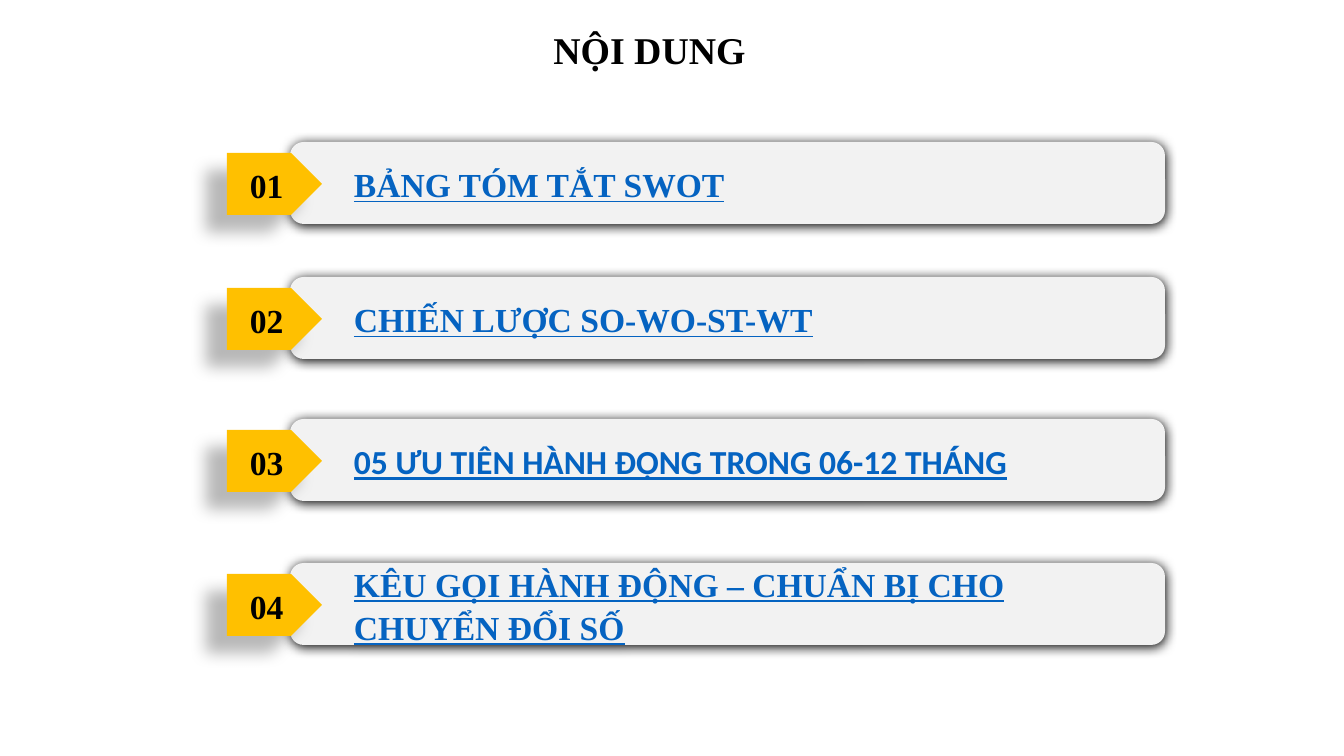
"""Builds the contents slide: a title above four numbered bars."""
from lxml.etree import SubElement
from pptx import Presentation
from pptx.dml.color import RGBColor
from pptx.enum.shapes import MSO_SHAPE
from pptx.enum.text import MSO_ANCHOR, MSO_AUTO_SIZE, PP_ALIGN
from pptx.oxml.ns import qn
from pptx.util import Emu, Pt

SERIF = "Times New Roman"
BARS = [
    (142, "BẢNG TÓM TẮT SWOT", SERIF),
    (277, "CHIẾN LƯỢC SO-WO-ST-WT", SERIF),
    (419, "05 ƯU TIÊN HÀNH ĐỘNG TRONG 06-12 THÁNG", "Calibri"),
    (563, "KÊU GỌI HÀNH ĐỘNG – CHUẨN BỊ CHO CHUYỂN ĐỔI SỐ", SERIF),
]


def px(n):
    return Emu(round(n * 12192000 / 1344))


def write(sp, text, size=24, font=SERIF, color="000000", underline=False,
          align=PP_ALIGN.CENTER, anchor=MSO_ANCHOR.MIDDLE, indent=0):
    tf = sp.text_frame
    tf.word_wrap = True
    tf.auto_size = MSO_AUTO_SIZE.NONE
    tf.vertical_anchor = anchor
    p = tf.paragraphs[0]
    p.alignment = align
    p.line_spacing = 1.07
    p._p.get_or_add_pPr().set("marL", str(px(indent)))
    r = p.add_run()
    r.text = text
    r.font.size = Pt(size)
    r.font.name = font
    r.font.bold = True
    r.font.underline = underline
    r.font.color.rgb = RGBColor.from_string(color)


prs = Presentation()
prs.slide_width, prs.slide_height = px(1344), px(756)
s = prs.slides.add_slide(prs.slide_layouts[5])

title = s.shapes.title
title.left, title.top, title.width, title.height = px(308), px(18), px(683), px(56)
write(title, "NỘI DUNG", size=27, anchor=MSO_ANCHOR.TOP)

for number, (top, text, font) in enumerate(BARS, 1):
    group = s.shapes.add_group_shape()
    bar = group.shapes.add_shape(
        MSO_SHAPE.ROUNDED_RECTANGLE, px(290), px(top), px(875), px(82))
    tag = group.shapes.add_shape(
        MSO_SHAPE.PENTAGON, px(227), px(top + 11), px(95), px(62))
    write(bar, text, font=font, color="0563C1", underline=True,
          align=PP_ALIGN.LEFT, indent=50)
    write(tag, f"{number:02}")

    for sp, fill, alpha, blur, dist, angle in (
            (bar, "F2F2F2", 100, 8.5, 1, 90),
            (tag, "FFC000", 28, 11.8, 19.7, 141)):
        sp.fill.solid()
        sp.fill.fore_color.rgb = RGBColor.from_string(fill)
        sp.line.fill.background()
        sp.shadow.inherit = False
        effects = sp._element.spPr.find(qn("a:effectLst"))
        shadow = SubElement(effects, qn("a:outerShdw"), blurRad=str(Pt(blur)),
                            dist=str(Pt(dist)), dir=str(angle * 60000),
                            algn="ctr", rotWithShape="0")
        black = SubElement(shadow, qn("a:srgbClr"), val="000000")
        SubElement(black, qn("a:alpha"), val=str(alpha * 1000))

prs.save("out.pptx")
